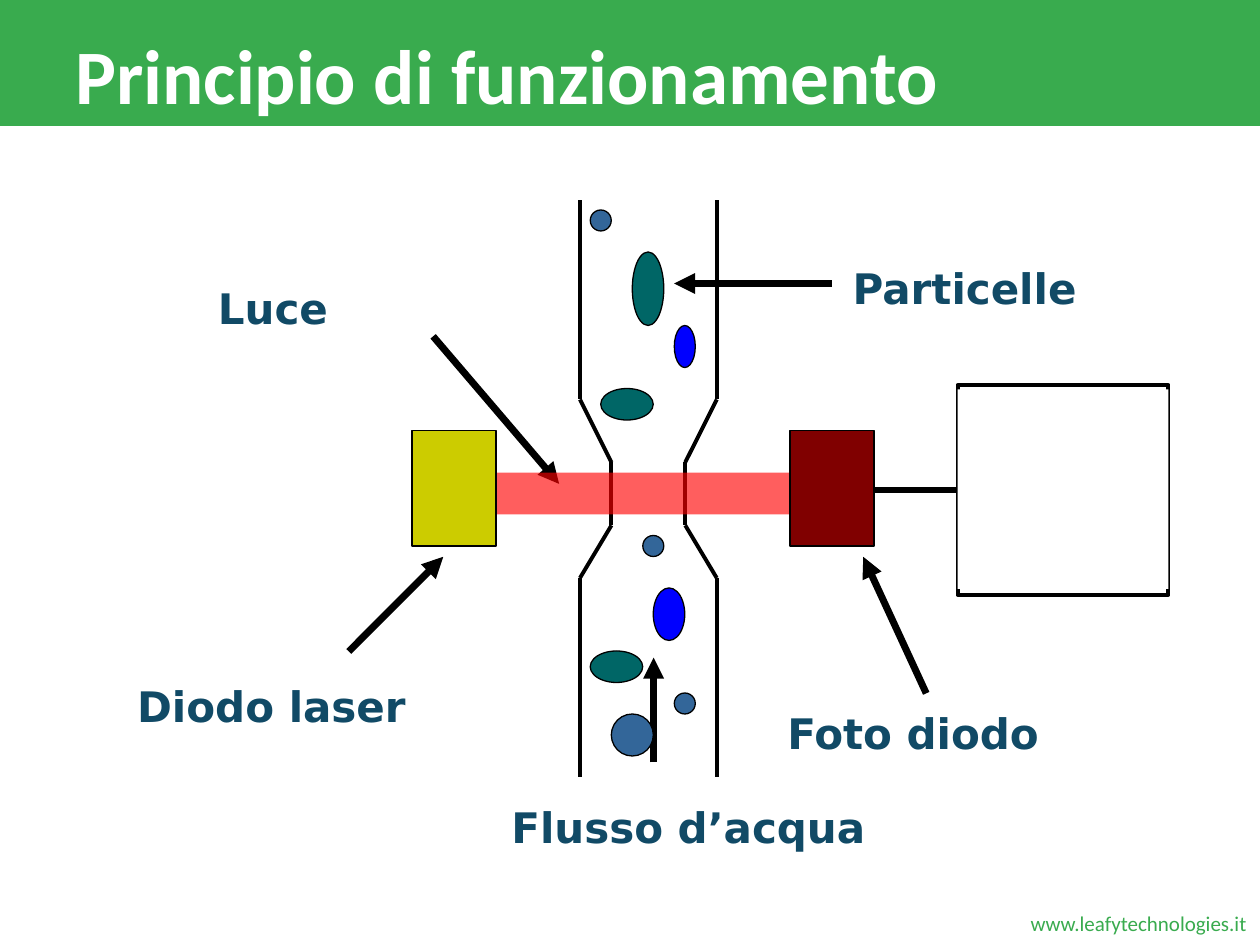
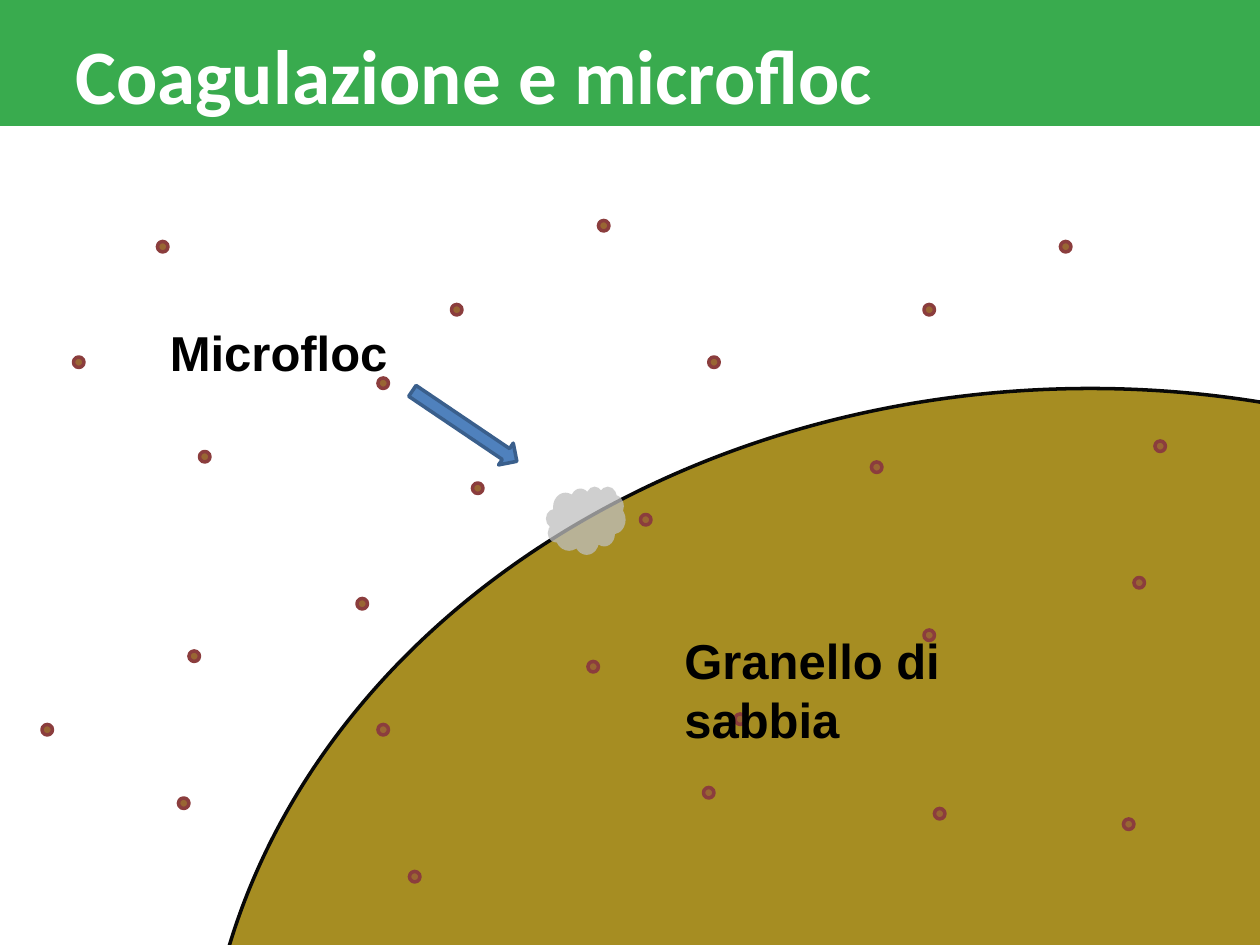
import itertools

import pptx
import pptx.dml.color
import pptx.enum.shapes
import pptx.enum.text
import pptx.oxml
import pptx.oxml.ns
import pptx.util
from lxml import etree

Pt = pptx.util.Pt
SHAPES = pptx.enum.shapes.MSO_SHAPE
ANCHORS = pptx.enum.text.MSO_ANCHOR

WIDTH, HEIGHT = 720, 540
GREEN, WHITE, BLACK = "39AB4E", "FFFFFF", "000000"
PARTICLE_TEAL, PARTICLE_BLUE, PARTICLE_STEEL = "006666", "0000FF", "336699"

TITLE = {"name": "Calibri", "size": Pt(44), "bold": True, "color": WHITE}
FOOTER = {"name": "Calibri", "size": Pt(12), "color": GREEN}
LABEL = {"name": "DejaVu Sans", "size": Pt(24), "bold": True, "color": "114A66"}
CAPTION = {"name": "Arial", "size": Pt(28), "bold": True, "color": BLACK}


def rgb(value):
    return pptx.dml.color.RGBColor.from_string(value)


def add_xml(parent, tag, **attributes):
    name = pptx.oxml.ns.qn(tag)
    return etree.SubElement(parent, name, attributes)


class Painter:
    """Holds the deck, its shared style and the current page."""

    def __init__(self):
        self.deck = pptx.Presentation()
        self.deck.slide_width, self.deck.slide_height = Pt(WIDTH), Pt(HEIGHT)
        self.page = None

    def start_page(self, title):
        self.page = self.deck.slides.add_slide(self.deck.slide_layouts[6])
        self.shape(SHAPES.RECTANGLE, 0, 0, WIDTH, 72, fill=GREEN)
        self.text(title, 36, 12, 666, 60, TITLE, anchor=ANCHORS.MIDDLE)

    def shape(self, kind, left, top, width, height, fill=None, line=None,
              weight=0.75, opacity=None, rotation=0):
        shape = self.page.shapes.add_shape(
            kind, Pt(left), Pt(top), Pt(width), Pt(height))
        shape.shadow.inherit = False
        shape.rotation = rotation
        if fill:
            shape.fill.solid()
            shape.fill.fore_color.rgb = rgb(fill)
        else:
            shape.fill.background()
        if opacity is not None:
            color = shape.element.spPr.find(".//" + pptx.oxml.ns.qn("a:srgbClr"))
            add_xml(color, "a:alpha", val=str(opacity * 1000))
        if line:
            shape.line.color.rgb = rgb(line)
            shape.line.width = Pt(weight)
        else:
            shape.line.fill.background()

    def line(self, start, end, weight, arrow=False):
        line = self.page.shapes.add_connector(
            pptx.enum.shapes.MSO_CONNECTOR.STRAIGHT,
            *(Pt(length) for length in (*start, *end)))
        line.line.color.rgb = rgb(BLACK)
        line.line.width = Pt(weight)
        if arrow:
            outline = line.element.spPr.find(pptx.oxml.ns.qn("a:ln"))
            add_xml(outline, "a:tailEnd", type="triangle")
        add_xml(line.element.spPr, "a:effectLst")

    def text(self, words, left, top, width, height, style,
             anchor=ANCHORS.TOP, spacing=None):
        box = self.page.shapes.add_textbox(
            Pt(left), Pt(top), Pt(width), Pt(height))
        box.text_frame.word_wrap = True
        box.text_frame.vertical_anchor = anchor
        para = box.text_frame.paragraphs[0]
        if spacing:
            para.line_spacing = spacing
        span = para.add_run()
        span.text = words
        for key, value in style.items():
            if key == "color":
                span.font.color.rgb = rgb(value)
            else:
                setattr(span.font, key, value)


def draw_principle(painter):
    painter.start_page("Principio di funzionamento")
    painter.text("www.leafytechnologies.it", 581.8, 517, 138.2, 22.3, FOOTER)

    # Arrows for water flow, particles and light
    for start, end in (((373.5, 435.6), (373.5, 375.8)),
                       ((475.2, 162), (385.2, 162)),
                       ((247.5, 192.2), (319.5, 276.5))):
        painter.line(start, end, 4, arrow=True)

    # Channel walls, mirrored about the channel axis
    axis, wide, narrow = 370.5, 39.1, 21.1
    profile = [(wide, 114.3), (wide, 228.3), (narrow, 264.2),
               (narrow, 300.2), (wide, 330.3), (wide, 444.3)]
    for side in (-1, 1):
        wall = [(axis + side * offset, y) for offset, y in profile]
        for start, end in itertools.pairwise(wall):
            painter.line(start, end, 2.25)

    # Particles and the light beam
    particles = [
        (361.3, 144, 18, 42, PARTICLE_TEAL), (349.3, 408, 24, 24, PARTICLE_STEEL),
        (373.3, 336, 18, 30, PARTICLE_BLUE), (337.3, 120, 12, 12, PARTICLE_STEEL),
        (385.3, 186, 12, 24, PARTICLE_BLUE), (343.3, 222, 30, 18, PARTICLE_TEAL),
        (337.3, 372, 30, 18, PARTICLE_TEAL), (385.3, 396, 12, 12, PARTICLE_STEEL),
        (367.3, 306, 12, 12, PARTICLE_STEEL)]
    for *place, color in particles:
        painter.shape(SHAPES.OVAL, *place, fill=color, line=BLACK)
    painter.shape(SHAPES.RECTANGLE, 283.5, 270, 168, 24, fill="FF0000", opacity=63)

    # Laser diode and photodiode with their pointers
    for left, color in ((235.5, "CCCC00"), (451.5, "800000")):
        painter.shape(SHAPES.RECTANGLE, left, 246, 48, 66, fill=color, line=BLACK)
    painter.line((199.3, 372.3), (253.3, 318.2), 4, arrow=True)
    painter.line((529.3, 396.2), (493.3, 318.2), 4, arrow=True)

    # Signal display
    painter.shape(SHAPES.RECTANGLE, 547.2, 220, 120.5, 120, line=BLACK, weight=2.25)
    painter.line((499.5, 280), (547.2, 280), 3)
    painter.shape(SHAPES.RECTANGLE, 547.2, 222.5, 120.5, 114, fill=WHITE)

    # Labels
    for words, left, top, width in (
            ("Luce", 117.4, 143.3, 176), ("Diodo laser", 71.3, 370.8, 176),
            ("Flusso d’acqua", 285.1, 440, 237), ("Foto diodo", 442.8, 386.6, 216),
            ("Particelle", 480.2, 131.8, 176)):
        painter.text(words, left, top, width, 45.4, LABEL, spacing=1.5)


def draw_coagulation(painter):
    painter.start_page("Coagulazione e microfloc")
    painter.shape(SHAPES.OVAL, 116, 222, 1014, 840,
                  fill="A68D22", line="080808", weight=2)

    # Suspended particles, placed on a 6-point grid
    grid = 6
    particles = [
        (15, 23), (17, 76), (88, 29), (61, 49), (36, 36), (67, 75), (34, 57),
        (108, 55), (57, 21), (70, 68), (36, 69), (43, 29), (101, 23),
        (67.5, 34), (19, 43), (88, 60), (18, 62), (56, 63), (110, 42),
        (107, 78), (39, 83), (7, 34), (4, 69), (83, 44), (89, 77), (45, 46)]
    for column, row in particles:
        painter.shape(SHAPES.OVAL, column * grid, row * grid, grid, grid,
                      fill="996633", line="8B3D3D", weight=2)

    # Captions, pointer and microfloc
    painter.text("Microfloc", 90, 180.7, 157.7, 41, CAPTION)
    painter.shape(SHAPES.RIGHT_ARROW, 229.5, 236, 72, 15, fill="4F81BD",
                  line="3A5F8C", weight=2, rotation=34)
    painter.text("Granello di sabbia", 384, 357, 210, 75, CAPTION)
    painter.shape(SHAPES.CLOUD, 312, 278, 45.5, 39, fill="BFBFBF", opacity=74)


def main():
    painter = Painter()
    draw_principle(painter)
    draw_coagulation(painter)
    painter.deck.save("out.pptx")


if __name__ == "__main__":
    main()
